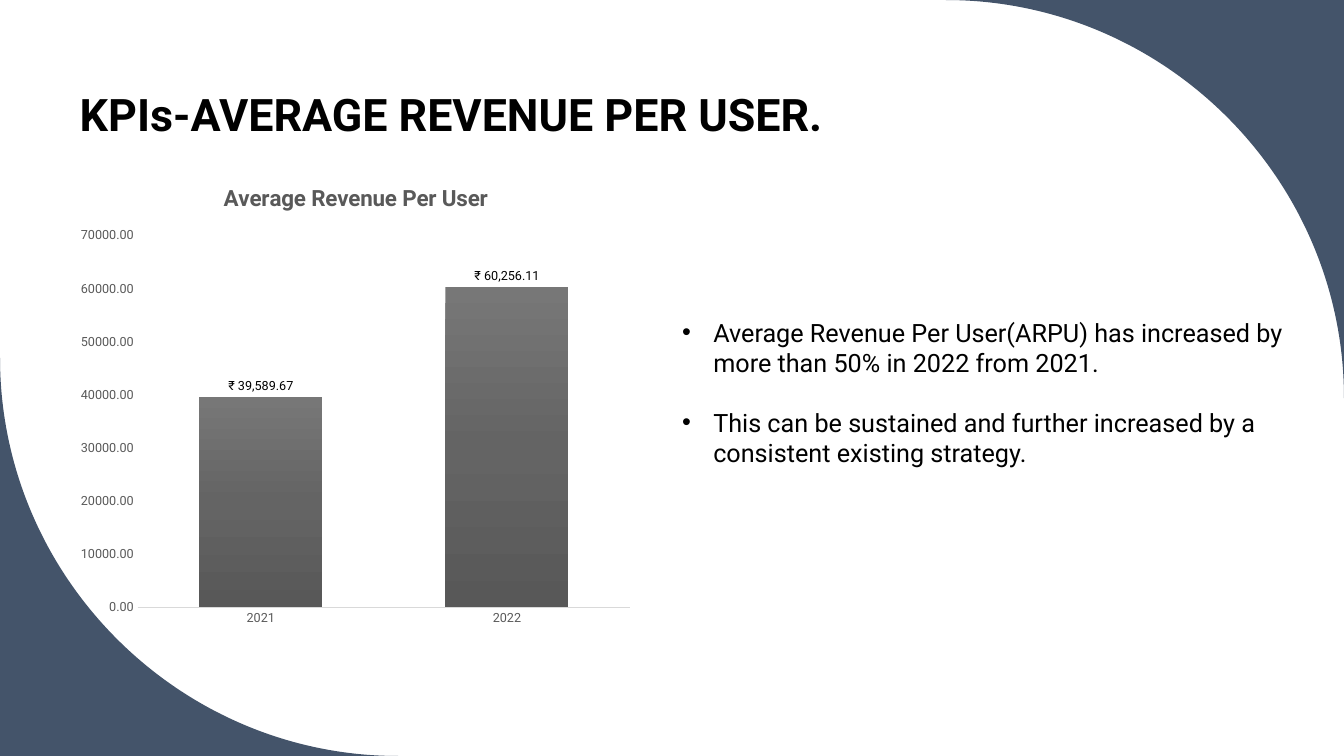
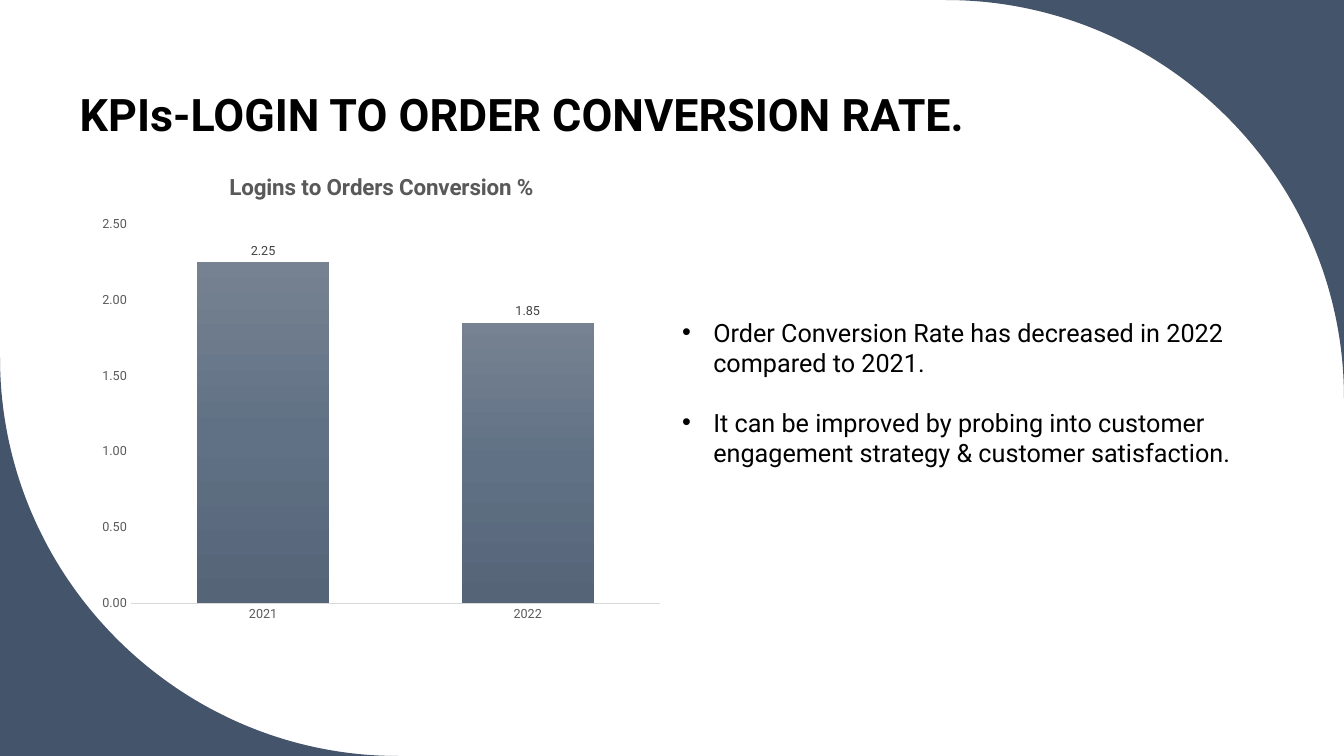
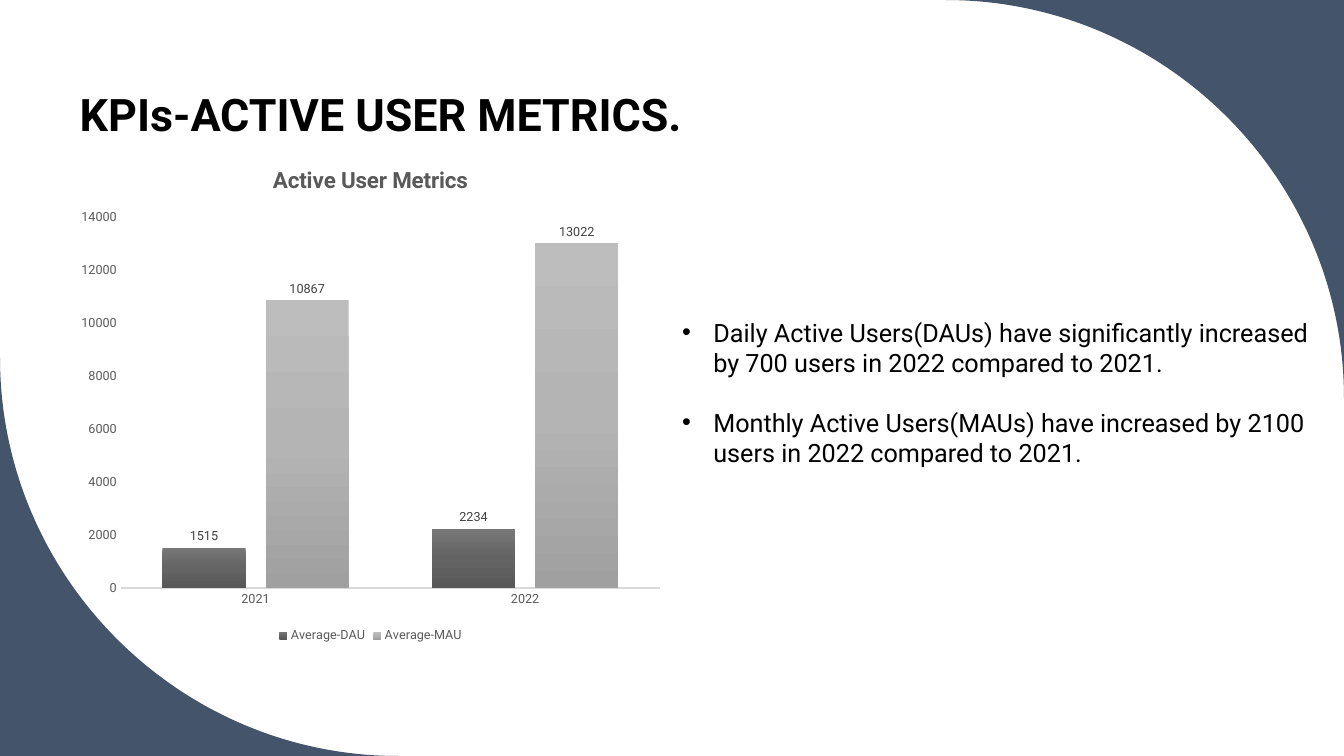
from dataclasses import dataclass

from pptx import Presentation, util as u
from pptx.chart.data import CategoryChartData
from pptx.dml.color import RGBColor
from pptx.enum import chart as charts, text
from pptx.oxml import parse_xml
from pptx.oxml.ns import nsdecls, qn


@dataclass(frozen=True)
class Theme:
    """Colours, type sizes and font of the deck."""
    font: str = "Roboto"
    ink: str = "000000"
    corner: str = "44546A"
    muted: str = "595959"
    label: str = "404040"
    axis: str = "D9D9D9"
    dark: tuple = ("777777", "646464", "585858")
    slate: tuple = ("768291", "617185", "556477")
    light: tuple = ("BDBDBD", "B4B4B4", "A0A0A0")
    title_size: int = 32
    body_size: int = 18
    chart_title_size: int = 16
    chart_size: int = 10
    small_size: int = 9


@dataclass(frozen=True)
class Box:
    """A region in hundredths of the slide's width and height."""
    left: float
    top: float
    width: float
    height: float

    def lengths(self):
        """Return left, top, width and height as lengths."""
        return (int(self.left * COL), int(self.top * ROW),
                int(self.width * COL), int(self.height * ROW))


@dataclass(frozen=True)
class Kpi:
    """Content of one slide; plot holds hundredths of the chart's box."""
    title: str
    points: tuple
    chart_title: str
    series: tuple
    box: Box
    plot: tuple
    top_value: float
    step: float
    axis_format: str = "General"
    label_format: str = "General"
    label_color: str = Theme.label
    legend: bool = False


THEME = Theme()
WIDTH, HEIGHT = u.Pt(960), u.Pt(540)
COL, ROW = WIDTH / 100, HEIGHT / 100
TITLE_BOX = Box(5.18, 0, 80.2, 19.33)
POINTS_BOX = Box(50, 41.26, 48.2, 21.6)
CORNER_RADIUS = 29.63 * COL
CURVE_PULL = 0.55
YEARS = ("2021", "2022")

KPIS = (
    Kpi("KPIs-AVERAGE REVENUE PER USER.",
        ("Average Revenue Per User(ARPU) has increased by more than 50% in 2022 from 2021.",
         "This can be sustained and further increased by a consistent existing strategy."),
        "Average Revenue Per User",
        (("Series 1", (39589.67, 60256.11), THEME.dark),),
        Box(5.18, 21.87, 42.6, 62.13), (11.9, 15, 86, 79.15), 70000, 10000,
        "0.00", '"₹"\\ #,##0.00', THEME.ink),
    Kpi("KPIs-LOGIN TO ORDER CONVERSION RATE.",
        ("Order Conversion Rate has decreased in 2022 compared to 2021.",
         "It can be improved by probing into customer engagement strategy & customer satisfaction."),
        "Logins to Orders Conversion %",
        (("Series 1", (2.25, 1.85), THEME.slate),),
        Box(6.75, 20.4, 43.28, 63.2), (6.9, 14.65, 91, 79.35), 2.5, 0.5,
        "0.00", "0.00"),
    Kpi("KPIs-ACTIVE USER METRICS.",
        ("Daily Active Users(DAUs) have significantly increased by 700 users in 2022 compared to 2021.",
         "Monthly Active Users(MAUs) have increased by 2100 users in 2022 compared to 2021."),
        "Active User Metrics",
        (("Average-DAU", (1515, 2234), THEME.dark),
         ("Average-MAU", (10867, 13022), THEME.light)),
        Box(5.18, 19.33, 44.78, 66.27), (8.5, 14.2, 89.6, 74), 14000, 2000,
        legend=True),
)


def style(font, size, color, bold=False):
    """Give a font the deck's typeface, a size, a colour and a weight."""
    font.name, font.size, font.bold = THEME.font, u.Pt(size), bold
    font.color.rgb = RGBColor.from_string(color)


def place(part, box):
    """Move a placeholder into a box."""
    part.left, part.top, part.width, part.height = box.lengths()


def add_corner(slide, layout, tip_x, tip_y, reach):
    """Draw a corner cut by a quarter circle and keep it on the layout."""
    start, end = (tip_x + reach, tip_y), (tip_x, tip_y - reach)
    pulls = [(tip_x + reach * (1 - CURVE_PULL), tip_y),
             (tip_x, tip_y - reach * (1 - CURVE_PULL))]
    outline = slide.shapes.build_freeform(*start)
    outline.add_line_segments(pulls + [end, (tip_x, tip_y)], close=True)
    corner = outline.convert_to_shape()
    lines = list(corner.element.iter(qn("a:lnTo")))[:3]
    curve = parse_xml(f'<a:cubicBezTo {nsdecls("a")}/>')
    lines[0].addprevious(curve)
    for line in lines:
        curve.append(line[0])
        line.getparent().remove(line)
    corner.shadow.inherit = False
    corner.fill.solid()
    corner.fill.fore_color.rgb = RGBColor.from_string(THEME.corner)
    corner.line.fill.background()
    layout.shapes.element.insert(2, corner.element)


def add_title(slide, box, wording):
    """Fill the title placeholder."""
    title = slide.shapes.title
    place(title, box)
    frame = title.text_frame
    frame.text = wording
    frame.auto_size = text.MSO_AUTO_SIZE.NONE
    frame.vertical_anchor = text.MSO_ANCHOR.BOTTOM
    line = frame.paragraphs[0]
    line.alignment, line.line_spacing = text.PP_ALIGN.LEFT, 0.9
    style(line.runs[0].font, THEME.title_size, THEME.ink, bold=True)


def add_points(slide, box, points):
    """Fill the body placeholder with bulleted points."""
    body = slide.placeholders[1]
    place(body, box)
    frame = body.text_frame
    frame.text = "\n".join(points)
    frame.auto_size = text.MSO_AUTO_SIZE.SHAPE_TO_FIT_TEXT
    indent = u.Inches(0.31)
    for index, point in enumerate(frame.paragraphs):
        point.space_before = u.Pt(21.1 if index else 0)
        properties = point._p.get_or_add_pPr()
        properties.set("marL", str(indent))
        properties.set("indent", str(-indent))
        style(point.runs[0].font, THEME.body_size, THEME.ink)


def set_gradient(series, colors):
    """Fill a series from top to bottom with evenly spaced colours."""
    stops = "".join(
        f'<a:gs pos="{100000 * i // (len(colors) - 1)}"><a:srgbClr val="{color}"/></a:gs>'
        for i, color in enumerate(colors))
    series._element.get_or_add_spPr().insert(0, parse_xml(
        f'<a:gradFill {nsdecls("a")} rotWithShape="1"><a:gsLst>{stops}</a:gsLst>'
        '<a:lin ang="5400000" scaled="0"/></a:gradFill>'))


def set_plot_area(chart, parts):
    """Fix the inner plot area in hundredths of the chart."""
    area = chart._chartSpace.chart.plotArea
    for layout in area.findall(qn("c:layout")):
        area.remove(layout)
    sides = "".join(f'<c:{side} val="{part / 100:.4f}"/>' for side, part in zip("xywh", parts))
    area.insert(0, parse_xml(
        f'<c:layout {nsdecls("c")}><c:manualLayout><c:layoutTarget val="inner"/>'
        f'<c:xMode val="edge"/><c:yMode val="edge"/>{sides}</c:manualLayout></c:layout>'))


def format_axes(chart, kpi):
    """Style both axes and set the scale."""
    years, values = chart.category_axis, chart.value_axis
    for axis in (years, values):
        axis.has_major_gridlines = False
        axis.major_tick_mark = axis.minor_tick_mark = charts.XL_TICK_MARK.NONE
        style(axis.tick_labels.font, THEME.small_size, THEME.muted)
    years.format.line.color.rgb = RGBColor.from_string(THEME.axis)
    years.format.line.width = u.Pt(1)
    values.format.line.fill.background()
    values.minimum_scale, values.maximum_scale = 0, kpi.top_value
    values.major_unit = kpi.step
    values.tick_labels.number_format = kpi.axis_format
    values.tick_labels.number_format_is_linked = False


def add_kpi_chart(slide, box, kpi):
    """Add the column chart of a KPI."""
    data = CategoryChartData()
    data.categories = YEARS
    for name, values, _ in kpi.series:
        data.add_series(name, values)
    chart = slide.shapes.add_chart(
        charts.XL_CHART_TYPE.COLUMN_CLUSTERED, *box.lengths(), data).chart
    style(chart.font, THEME.chart_size, THEME.ink)
    chart.has_title = True
    heading = chart.chart_title.text_frame
    heading.text = kpi.chart_title
    style(heading.paragraphs[0].runs[0].font, THEME.chart_title_size, THEME.muted, bold=True)
    chart.has_legend = kpi.legend
    if kpi.legend:
        chart.legend.position = charts.XL_LEGEND_POSITION.BOTTOM
        chart.legend.include_in_layout = False
        style(chart.legend.font, THEME.small_size, THEME.muted)
    format_axes(chart, kpi)
    columns = chart.plots[0]
    columns.vary_by_categories = False
    columns.gap_width, columns.overlap = 100, -24
    for series, (_, _, colors) in zip(columns.series, kpi.series):
        set_gradient(series, colors)
        labels = series.data_labels
        labels.show_value = True
        labels.position = charts.XL_LABEL_POSITION.OUTSIDE_END
        labels.number_format = kpi.label_format
        labels.number_format_is_linked = False
        style(labels.font, THEME.small_size, kpi.label_color)
    set_plot_area(chart, kpi.plot)


def add_kpi_slide(deck, layout, kpi):
    """Add a slide with title, chart and points."""
    slide = deck.slides.add_slide(layout)
    add_title(slide, TITLE_BOX, kpi.title)
    add_points(slide, POINTS_BOX, kpi.points)
    add_kpi_chart(slide, kpi.box, kpi)
    return slide


def main():
    """Build and save the deck."""
    deck = Presentation()
    deck.slide_width, deck.slide_height = WIDTH, HEIGHT
    layout = deck.slide_layouts[1]
    slides = [add_kpi_slide(deck, layout, kpi) for kpi in KPIS]
    add_corner(slides[0], layout, WIDTH, 0, -CORNER_RADIUS)
    add_corner(slides[0], layout, 0, HEIGHT, CORNER_RADIUS)
    deck.save("out.pptx")


if __name__ == "__main__":
    main()
